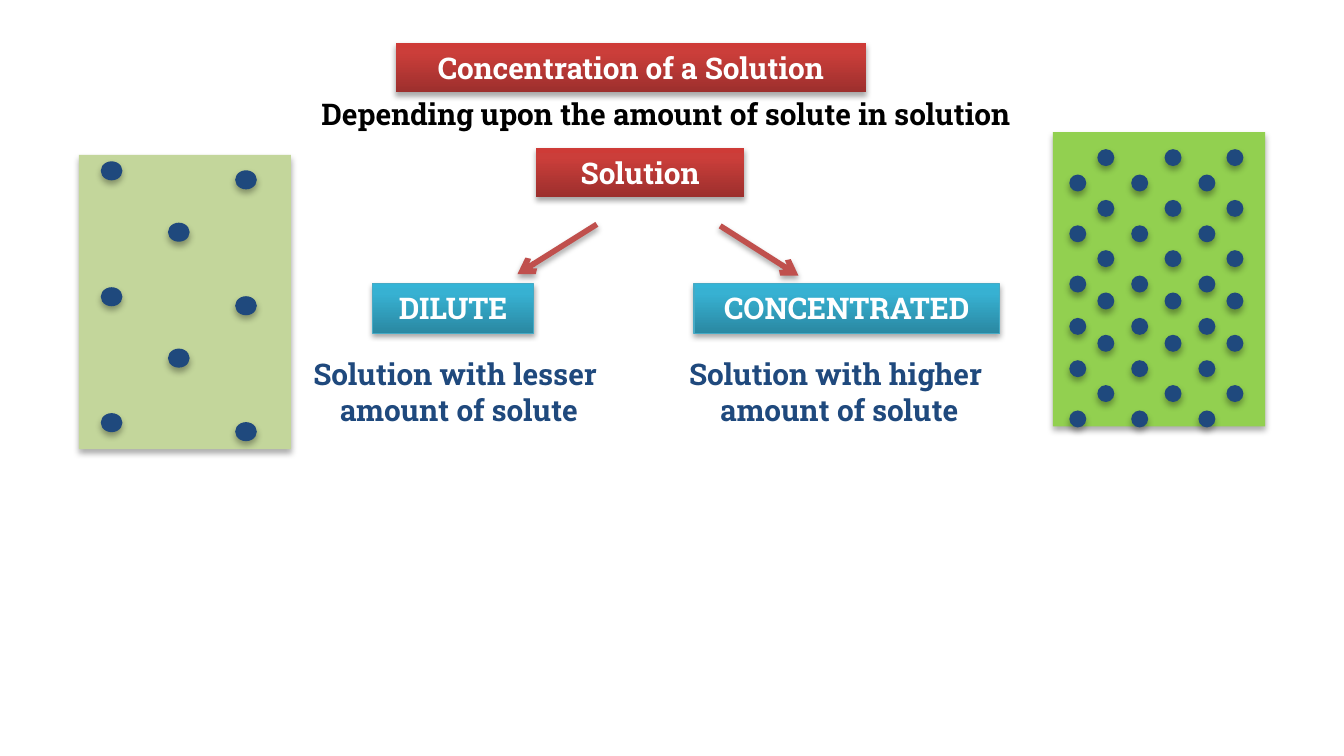
from copy import deepcopy
from lxml.etree import SubElement as Sub
from pptx import Presentation as Deck
from pptx.dml.color import RGBColor as Rgb
from pptx.enum.shapes import MSO_CONNECTOR as Conn, MSO_SHAPE as Form
from pptx.enum.text import MSO_ANCHOR as Anchor, PP_ALIGN as Align
from pptx.oxml.ns import qn
from pptx.util import Cm, Pt


class Theme:
    font = "Roboto Slab"
    size = 16
    white = "FFFFFF"
    black = "000000"
    navy = "1F497D"
    pale = "C3D69B"
    green = "92D050"
    arrow = "C0504D"
    edge = "46AAC5"
    red = ((0, "9C2F2D"), (0.8, "CB3E3A"), (1, "CE3B37"))
    blue = ((0, "2A88A2"), (0.8, "37B1D2"), (1, "34B4D6"))
    soft = (32, 3.5, 2.2)
    firm = (35, 3.1, 1.8)


TITLE = (4.65, 1.67, 15.88, 0.97, ["Depending upon the amount of solute in solution"], Theme.black)

NOTES = [
    (5.31, 6.83, 6.73, 1.14, ["Solution with lesser ", "amount of solute"], Theme.navy),
    (12.5, 6.83, 6.73, 1.14, ["Solution with higher ", "amount of solute"], Theme.navy),
]

BOXES = [
    (7.04, 5.36, 3.05, "DILUTE", Theme.blue, Theme.edge),
    (13.12, 5.36, 5.77, "CONCENTRATED", Theme.blue, Theme.edge),
    (10.13, 2.79, 3.94, "Solution", Theme.red, None),
    (7.48, 0.81, 8.89, "Concentration of a Solution", Theme.red, None),
]
TALL = 0.94

ARROWS = [(11.28, 4.24, 9.78, 5.18), (13.61, 4.27, 15.09, 5.21)]

HIGH = [2.98, 3.94, 4.89, 5.69, 6.49, 7.44]
LOW = [y + 0.48 for y in HIGH]
DENSE = [(20.37, LOW), (20.9, HIGH), (21.54, LOW), (22.17, HIGH), (22.81, LOW), (23.34, HIGH)]

GAP = 2.38
SPARSE = [
    (x, [top + GAP * i for i in range(count)])
    for x, top, count in [(2.11, 3.23, 3), (3.38, 4.39, 2), (4.65, 3.4, 3)]
]

WIDE, DEEP = 4.01, 5.56
TANKS = [
    (19.9, 2.5, Theme.green, 0.32, 0.32, DENSE),
    (1.49, 2.93, Theme.pale, 0.41, 0.36, SPARSE),
]


def shade(shape, look):
    alpha, blur, dist = look
    props = shape.element.spPr
    glow = props.find(qn("a:effectLst"))
    if glow is None:
        glow = Sub(props, qn("a:effectLst"))
    outer = Sub(glow, qn("a:outerShdw"), blurRad=str(Pt(blur)), dist=str(Pt(dist)),
                dir="5400000", rotWithShape="0")
    tint = Sub(outer, qn("a:srgbClr"), val=Theme.black)
    Sub(tint, qn("a:alpha"), val=str(alpha * 1000))


def draw(home, form, spot, look):
    shape = home.add_shape(form, *map(Cm, spot))
    shape.shadow.inherit = False
    shape.line.fill.background()
    shade(shape, look)
    return shape


def plain(home, form, spot, hue):
    shape = draw(home, form, spot, Theme.soft)
    shape.fill.solid()
    shape.fill.fore_color.rgb = Rgb.from_string(hue)


def blend(shape, stops):
    shape.fill.gradient()
    shape.fill.gradient_angle = 90
    ramp = shape.element.spPr.find(qn("a:gradFill")).find(qn("a:gsLst"))
    ramp.append(deepcopy(ramp[-1]))
    for stop, (pos, hue) in zip(shape.fill.gradient_stops, stops):
        stop.position = pos
        stop.color.rgb = Rgb.from_string(hue)


def write(shape, lines, hue, anchor):
    frame = shape.text_frame
    frame.word_wrap = True
    frame.vertical_anchor = anchor
    for i, line in enumerate(lines):
        para = frame.add_paragraph() if i else frame.paragraphs[0]
        para.alignment = Align.CENTER
        run = para.add_run()
        run.text = line
        run.font.name = Theme.font
        run.font.size = Pt(Theme.size)
        run.font.bold = True
        run.font.color.rgb = Rgb.from_string(hue)


def label(slide, x, y, w, h, lines, hue):
    write(slide.shapes.add_textbox(*map(Cm, (x, y, w, h))), lines, hue, Anchor.MIDDLE)


def tank(slide, x, y, hue, w, h, cols):
    group = slide.shapes.add_group_shape().shapes
    plain(group, Form.RECTANGLE, (x, y, WIDE, DEEP), hue)
    for mid, rows in cols:
        for row in rows:
            plain(group, Form.OVAL, (mid - w / 2, row - h / 2, w, h), Theme.navy)


def box(slide, x, y, w, text, stops, edge):
    shape = draw(slide.shapes, Form.RECTANGLE, (x, y, w, TALL), Theme.firm)
    blend(shape, stops)
    if edge:
        shape.line.color.rgb = Rgb.from_string(edge)
        shape.line.width = Pt(0.75)
    write(shape, [text], Theme.white, Anchor.TOP)


def arrow(slide, ends):
    line = slide.shapes.add_connector(Conn.STRAIGHT, *map(Cm, ends))
    line.line.color.rgb = Rgb.from_string(Theme.arrow)
    line.line.width = Pt(3)
    Sub(line.element.spPr.find(qn("a:ln")), qn("a:tailEnd"), type="arrow")
    shade(line, Theme.firm)


def main():
    deck = Deck()
    deck.slide_width, deck.slide_height = Cm(25.4), Cm(14.29)
    slide = deck.slides.add_slide(deck.slide_layouts[6])
    label(slide, *TITLE)
    for item in TANKS:
        tank(slide, *item)
    for ends in ARROWS:
        arrow(slide, ends)
    for item in BOXES:
        box(slide, *item)
    for item in NOTES:
        label(slide, *item)
    deck.save("out.pptx")


if __name__ == "__main__":
    main()
